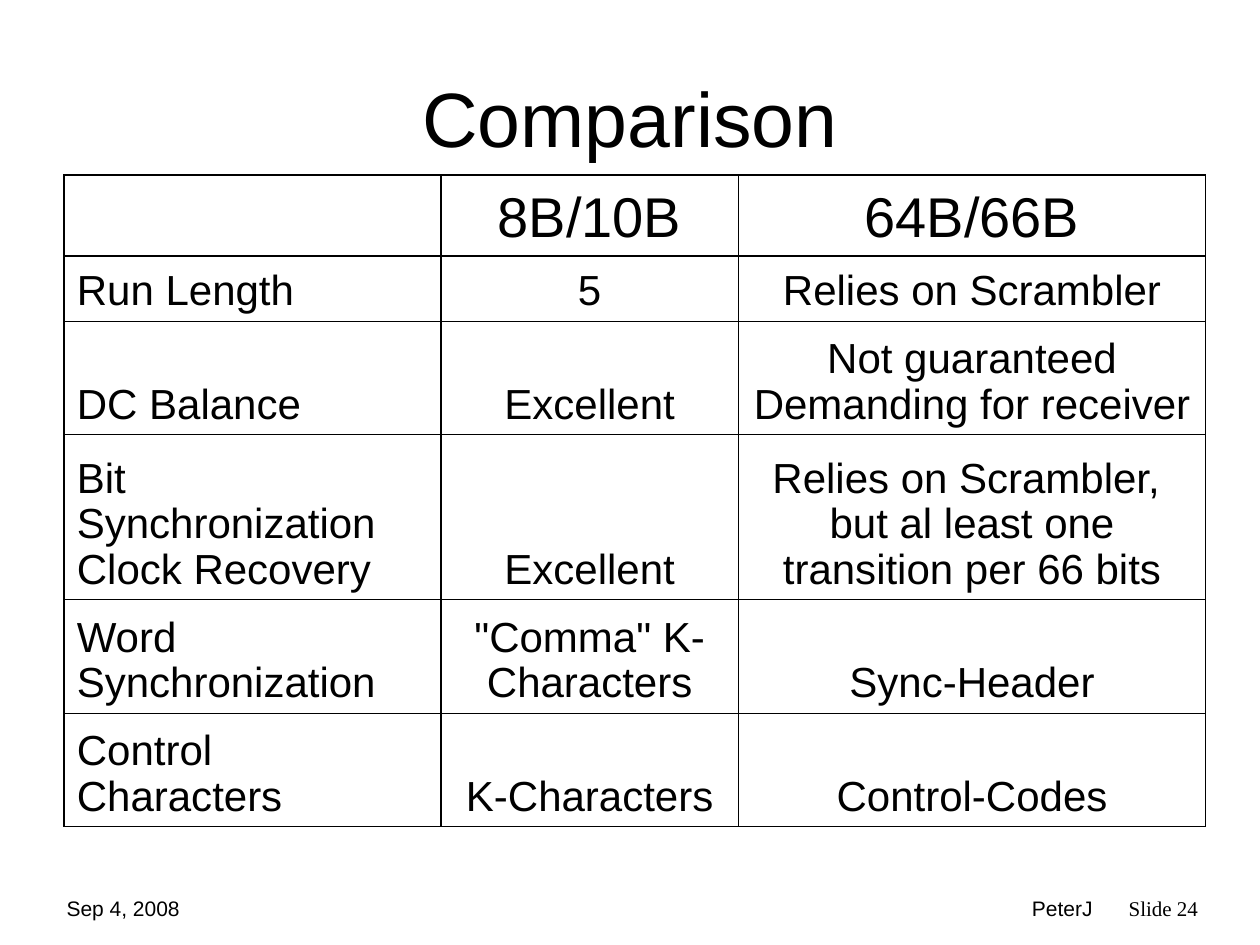
from lxml.etree import SubElement
from pptx import Presentation
from pptx.dml.color import RGBColor
from pptx.enum.text import MSO_ANCHOR, PP_ALIGN
from pptx.oxml.ns import qn
from pptx.util import Inches, Pt

COLORS = {"text": "000000", "border": "000000", "background": "FFFFFF"}
THICK, THIN = Pt(0.96), Pt(0.45)


def write_text(paragraph, text, size, alignment, font_name="Arial"):
    paragraph.alignment = alignment
    for index, line in enumerate(text.split("\n")):
        if index:
            paragraph.add_line_break()
        run = paragraph.add_run()
        run.text = line
        run.font.size = Pt(size)
        run.font.name = font_name
        run.font.color.rgb = RGBColor.from_string(COLORS["text"])


def set_borders(cell, widths):
    """Draw the left, right, top and bottom lines, then an empty fill."""
    properties = cell._tc.get_or_add_tcPr()
    for side, width in zip("LRTB", widths):
        line = SubElement(properties, qn(f"a:ln{side}"), w=str(int(width)))
        fill = SubElement(line, qn("a:solidFill"))
        SubElement(fill, qn("a:srgbClr"), val=COLORS["border"])
    cell.fill.background()


presentation = Presentation()
presentation.slide_width = Inches(10)
presentation.slide_height = Inches(7.5)
slide = presentation.slides.add_slide(presentation.slide_layouts[5])
slide.background.fill.solid()
slide.background.fill.fore_color.rgb = RGBColor.from_string(COLORS["background"])

# Footer
footers = [
    ("PeterJ", 6.34, 2.43, PP_ALIGN.RIGHT, "Arial"),
    ("Slide 24", 8.86, 0.94, PP_ALIGN.LEFT, "Times New Roman"),
    ("Sep 4, 2008", 0.43, 1.45, PP_ALIGN.LEFT, "Arial"),
]
for text, left, width, alignment, font_name in footers:
    box = slide.shapes.add_textbox(Inches(left), Inches(7.06), Inches(width), Inches(0.29))
    box.text_frame.word_wrap = True
    write_text(box.text_frame.paragraphs[0], text, 12, alignment, font_name)

# Title
title = slide.shapes.title
title.left, title.top = Inches(0.5), Inches(0.3)
title.width, title.height = Inches(9), Inches(1.25)
title.text_frame.vertical_anchor = MSO_ANCHOR.MIDDLE
write_text(title.text_frame.paragraphs[0], "Comparison", 44, PP_ALIGN.CENTER)

# Comparison table
rows = [
    ("", "8B/10B", "64B/66B"),
    ("Run Length", "5", "Relies on Scrambler"),
    ("DC Balance", "Excellent", "Not guaranteed\nDemanding for receiver"),
    ("Bit Synchronization\nClock Recovery", "Excellent",
     "Relies on Scrambler, \nbut al least one transition per 66 bits"),
    ("Word Synchronization", "\"Comma\" K-Characters", "Sync-Header"),
    ("Control Characters", "K-Characters", "Control-Codes"),
]
column_widths = [2.99, 2.36, 3.71]
row_heights = [0.64, 0.52, 0.9, 1.31, 0.9, 0.9]
frame = slide.shapes.add_table(
    len(rows), len(column_widths), Inches(0.51), Inches(1.39),
    Inches(sum(column_widths)), Inches(sum(row_heights)))
table = frame.table
table.first_row = False
table.horz_banding = False
for column, width in zip(table.columns, column_widths):
    column.width = Inches(width)
for row, height in zip(table.rows, row_heights):
    row.height = Inches(height)

# Thick lines run round the table, below the header and beside the labels
vertical_lines = [THICK, THICK, THIN, THICK]
horizontal_lines = [THICK, THICK, THIN, THIN, THIN, THIN, THICK]
for row_index, texts in enumerate(rows):
    for column_index, text in enumerate(texts):
        cell = table.cell(row_index, column_index)
        cell.vertical_anchor = MSO_ANCHOR.BOTTOM
        set_borders(cell, vertical_lines[column_index:column_index + 2]
                    + horizontal_lines[row_index:row_index + 2])
        if text:
            paragraph = cell.text_frame.paragraphs[0]
            paragraph.line_spacing = 0.97
            write_text(paragraph, text, 24 if row_index else 32,
                       PP_ALIGN.CENTER if column_index else PP_ALIGN.LEFT)

presentation.save("out.pptx")
